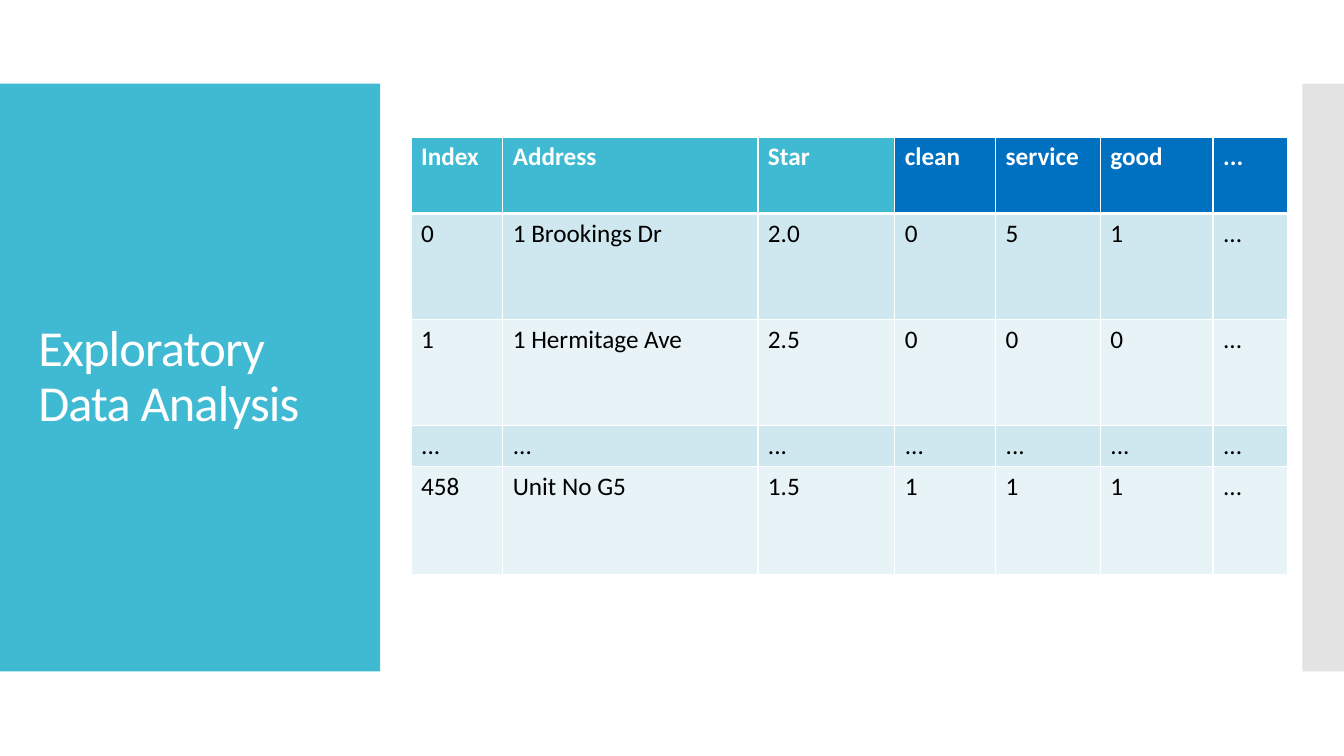
from lxml import etree
from pptx import Presentation
from pptx.dml.color import RGBColor
from pptx.enum.shapes import MSO_SHAPE
from pptx.enum.text import MSO_ANCHOR, MSO_AUTO_SIZE, PP_ALIGN
from pptx.oxml.ns import qn
from pptx.util import Cm, Pt

RECT = MSO_SHAPE.RECTANGLE
MIDDLE = MSO_ANCHOR.MIDDLE
LEFT = PP_ALIGN.LEFT
FIXED = MSO_AUTO_SIZE.NONE

FONT = "Calibri"
COLORS = {
    "teal": "40BAD2",
    "blue": "0070C0",
    "gray": "C8C8C8",
    "dark": "CFE7EE",
    "light": "E8F3F7",
    "white": "FFFFFF",
    "black": "000000",
}

WIDTH, HEIGHT = 33.87, 19.05
TITLE = "Exploratory Data Analysis"
COLS = [2.31, 6.43, 3.45, 2.54, 2.64, 2.84, 1.88]
ROWS = [1.93, 2.67, 2.67, 0.71, 2.74]
PLACE_COLS = 3
DATA = [
    ["Index", "Address", "Star", "clean", "service", "good", "..."],
    ["0", "1 Brookings Dr", "2.0", "0", "5", "1", "..."],
    ["1", "1 Hermitage Ave", "2.5", "0", "0", "0", "..."],
    ["..."] * len(COLS),
    ["458", "Unit No G5", "1.5", "1", "1", "1", "..."],
]


def rgb(name):
    return RGBColor.from_string(COLORS[name])


def style(par, size, color, bold=False):
    for run in par.runs:
        font = run.font
        font.name, font.size, font.bold = FONT, Pt(size), bold
        font.color.rgb = rgb(color)


def add_block(slide, box, color):
    block = slide.shapes.add_shape(RECT, *map(Cm, box))
    block.shadow.inherit = False
    block.fill.solid()
    block.fill.fore_color.rgb = rgb(color)
    block.line.fill.background()
    return block


def add_panel(slide, box):
    """Draw the teal panel behind the slide title."""
    left, top, width, height = box
    panel = add_block(slide, box, "teal")
    title = slide.shapes.title
    title.element.addprevious(panel.element)
    title.left, title.top = Cm(left + 0.71), Cm(top + 1.02)
    title.width, title.height = Cm(width - 1.4), Cm(height - 2.04)
    frame = title.text_frame
    frame.text = TITLE
    frame.word_wrap = True
    frame.auto_size = FIXED
    frame.vertical_anchor = MIDDLE
    par = frame.paragraphs[0]
    par.alignment = LEFT
    par.line_spacing = 0.9
    style(par, 36, "white")
    par.runs[0].font._element.set("spc", "-60")


def add_strip(slide, box):
    """Draw the half transparent strip at the right edge."""
    strip = add_block(slide, box, "gray")
    color = strip.element.spPr.find(".//" + qn("a:srgbClr"))
    etree.SubElement(color, qn("a:alpha"), val="50000")


def set_borders(cell, base):
    """Give a cell white borders, the bottom one base points wide."""
    props = cell._tc.get_or_add_tcPr()
    sides = {"lnL": 1, "lnR": 1, "lnT": 1, "lnB": base}
    for spot, (side, width) in enumerate(sides.items()):
        line = etree.Element(qn("a:" + side), w=str(Pt(width)))
        fill = etree.SubElement(line, qn("a:solidFill"))
        etree.SubElement(fill, qn("a:srgbClr"), val=COLORS["white"])
        props.insert(spot, line)


def cell_fill(row, col):
    if row == 0:
        return "teal" if col < PLACE_COLS else "blue"
    return "dark" if row % 2 else "light"


def add_grid(slide, left, top):
    """Add the table of addresses and word counts."""
    frame = slide.shapes.add_table(
        len(ROWS), len(COLS), Cm(left), Cm(top), Cm(sum(COLS)), Cm(sum(ROWS)))
    table = frame.table
    for col, width in zip(table.columns, COLS):
        col.width = Cm(width)
    for row, height in zip(table.rows, ROWS):
        row.height = Cm(height)
    for r, texts in enumerate(DATA):
        head = r == 0
        for c, text in enumerate(texts):
            cell = table.cell(r, c)
            cell.text = text
            style(cell.text_frame.paragraphs[0], 18,
                  "white" if head else "black", head)
            cell.fill.solid()
            cell.fill.fore_color.rgb = rgb(cell_fill(r, c))
            # The header's lower edge belongs to two rows of cells.
            set_borders(cell, 3 if head else 1)
            if r == 1:
                cell._tc.tcPr.find(qn("a:lnT")).set("w", str(Pt(3)))


def main():
    deck = Presentation()
    deck.slide_width, deck.slide_height = Cm(WIDTH), Cm(HEIGHT)
    slide = deck.slides.add_slide(deck.slide_layouts[5])
    top, height = 2.11, 14.81
    add_panel(slide, (0, top, 9.58, height))
    add_strip(slide, (WIDTH - 1.05, top, 1.05, height))
    add_grid(slide, 10.36, 3.45)
    deck.save("out.pptx")


if __name__ == "__main__":
    main()
